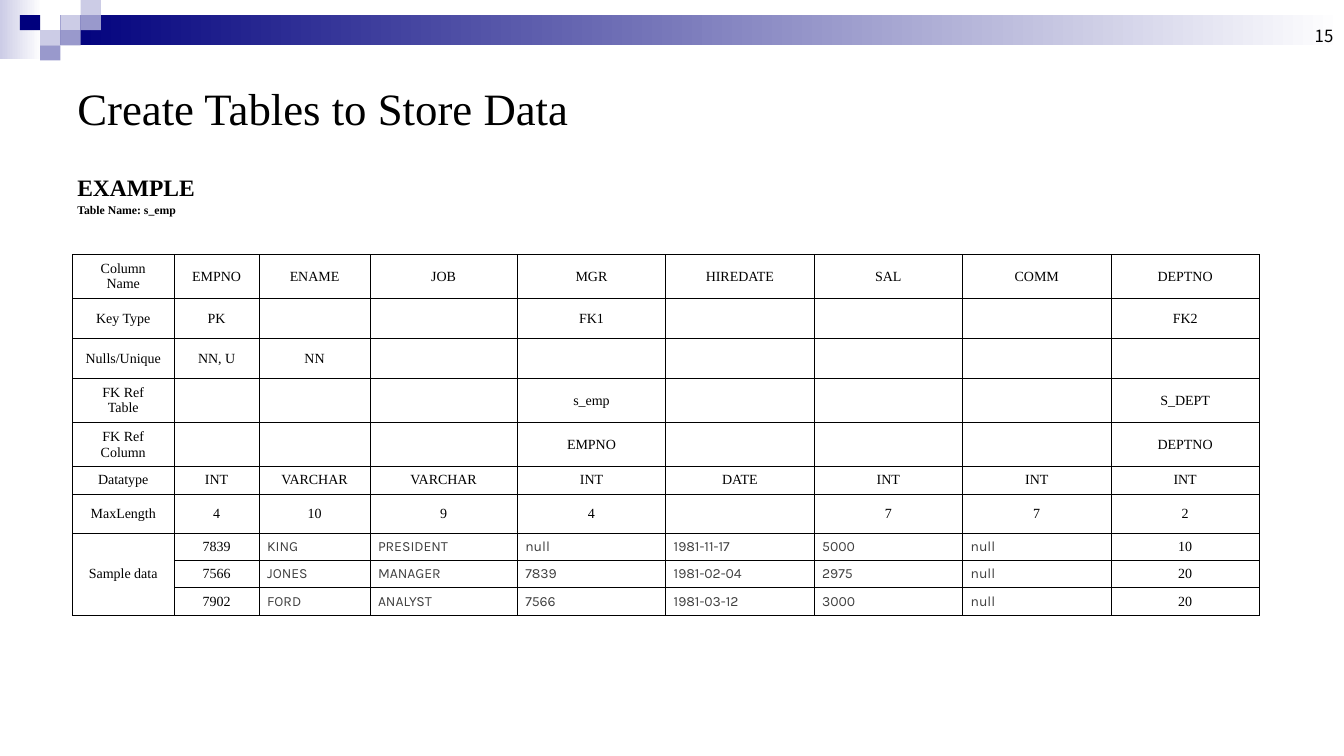
from lxml.etree import SubElement
from pptx import Presentation
from pptx.dml.color import RGBColor
from pptx.enum.shapes import MSO_SHAPE
from pptx.enum.text import MSO_ANCHOR, PP_ALIGN
from pptx.oxml.ns import qn
from pptx.util import Pt

# Content
TITLE = "Create Tables to Store Data"
PAGE = "15"
HEAD = "EXAMPLE"
NAME = "Table Name: s_emp"
ROWS = [
    ["Column Name", "EMPNO", "ENAME", "JOB", "MGR", "HIREDATE", "SAL", "COMM", "DEPTNO"],
    ["Key Type", "PK", "", "", "FK1", "", "", "", "FK2"],
    ["Nulls/Unique", "NN, U", "NN", "", "", "", "", "", ""],
    ["FK Ref\nTable", "", "", "", "s_emp", "", "", "", "S_DEPT"],
    ["FK Ref\nColumn", "", "", "", "EMPNO", "", "", "", "DEPTNO"],
    ["Datatype", "INT", "VARCHAR", "VARCHAR", "INT", "DATE", "INT", "INT", "INT"],
    ["MaxLength", "4", "10", "9", "4", "", "7", "7", "2"],
    ["Sample data", "7839", "KING", "PRESIDENT", "null", "1981-11-17", "5000", "null", "10"],
    ["", "7566", "JONES", "MANAGER", "7839", "1981-02-04", "2975", "null", "20"],
    ["", "7902", "FORD", "ANALYST", "7566", "1981-03-12", "3000", "null", "20"],
]
SAMPLE = 7  # first row of sample data
WIDTHS = [72.7, 60.8, 79.2, 105.3] + [106.1] * 5
HEIGHTS = [31.5, 28.6, 28.6, 31.5, 31.5, 19.4, 28.2] + [19.5] * 3

# Theme
THEME = {
    "serif": "Times New Roman", "sans": "Karla", "page": "Noto Sans CJK KR",
    "black": "000000", "gray": "404040", "white": "FFFFFF",
    "navy": "00007D", "mid": "9999CC", "pale": "CCCCE6",
    "title": 32, "head": 16.8, "name": 8.4, "num": 12, "cell": 10, "line": 0.45,
}

# Corner tiles: column, row, colour
TILES = [(2, 1, "pale"), (3, 0, "pale"), (3, 1, "mid"), (1, 2, "pale"),
         (0, 1, "navy"), (2, 2, "mid"), (1, 3, "mid")]
TILE_X, TILE_W, TILE_H = 14.2, 14.5, 10.8


def color(key):
    return RGBColor.from_string(THEME[key])


def style(para, face, size, tint="black", bold=False):
    font = para.font
    font.name, font.size, font.bold = THEME[face], Pt(THEME[size]), bold
    font.color.rgb = color(tint)


def block(x, y, w, h, first, last=None):
    shape = slide.shapes.add_shape(MSO_SHAPE.RECTANGLE, Pt(x), Pt(y), Pt(w), Pt(h))
    shape.shadow.inherit = False
    shape.line.fill.background()
    if last:
        shape.fill.gradient()
        shape.fill.gradient_angle = 0
        for stop, key in zip(shape.fill.gradient_stops, (first, last)):
            stop.color.rgb = color(key)
    else:
        shape.fill.solid()
        shape.fill.fore_color.rgb = color(first)


def textbox(x, y, w, h, anchor, text):
    frame = slide.shapes.add_textbox(Pt(x), Pt(y), Pt(w), Pt(h)).text_frame
    frame.word_wrap = True
    frame.vertical_anchor = anchor
    frame.text = text
    return frame.paragraphs


def border(cell):
    props = cell._tc.get_or_add_tcPr()
    for side in ("a:lnL", "a:lnR", "a:lnT", "a:lnB"):
        line = SubElement(props, qn(side), w=str(Pt(THEME["line"])))
        fill = SubElement(line, qn("a:solidFill"))
        SubElement(fill, qn("a:srgbClr"), val=THEME["black"])


deck = Presentation()
deck.slide_width, deck.slide_height = Pt(960.5), Pt(540)
slide = deck.slides.add_slide(deck.slide_layouts[6])

# Top band
block(0, 0, 30, 42, "pale", "white")
block(43.2, 10.8, 916.8, 21.6, "navy", "white")
for col, row, key in TILES:
    block(TILE_X + col * TILE_W, row * TILE_H, TILE_W, TILE_H, key)

# Page number, title and heading
page, = textbox(736, 0, 224, 36, MSO_ANCHOR.BOTTOM, PAGE)
page.alignment = PP_ALIGN.RIGHT
style(page, "page", "num")

title, = textbox(48.2, 36, 864, 81, MSO_ANCHOR.MIDDLE, TITLE)
style(title, "serif", "title")

head, name = textbox(48.2, 124, 642, 40, MSO_ANCHOR.TOP, HEAD + "\n" + NAME)
for para, size in ((head, "head"), (name, "name")):
    para.line_spacing = 0.8
    style(para, "serif", size, bold=True)
name.space_before = Pt(3)

# Table
table = slide.shapes.add_table(len(ROWS), len(WIDTHS), Pt(51.7), Pt(181.7),
                               Pt(sum(WIDTHS)), Pt(sum(HEIGHTS))).table
table.first_row = table.horz_banding = False
for col, width in zip(table.columns, WIDTHS):
    col.width = Pt(width)
for row, height in zip(table.rows, HEIGHTS):
    row.height = Pt(height)

for r, row in enumerate(ROWS):
    for c, text in enumerate(row):
        cell = table.cell(r, c)
        border(cell)
        cell.fill.background()
        cell.vertical_anchor = MSO_ANCHOR.MIDDLE
        cell.text = text
        data = r >= SAMPLE and 2 <= c <= 7
        if data:
            cell.margin_left = cell.margin_right = Pt(5.8)
        for para in cell.text_frame.paragraphs:
            para.alignment = PP_ALIGN.LEFT if data else PP_ALIGN.CENTER
            style(para, "sans" if data else "serif", "cell", "gray" if data else "black")
            if not text:  # keeps empty cells from stretching their row
                SubElement(para._p, qn("a:endParaRPr"), sz=str(THEME["cell"] * 100))
table.cell(SAMPLE, 0).merge(table.cell(len(ROWS) - 1, 0))

deck.save("out.pptx")
